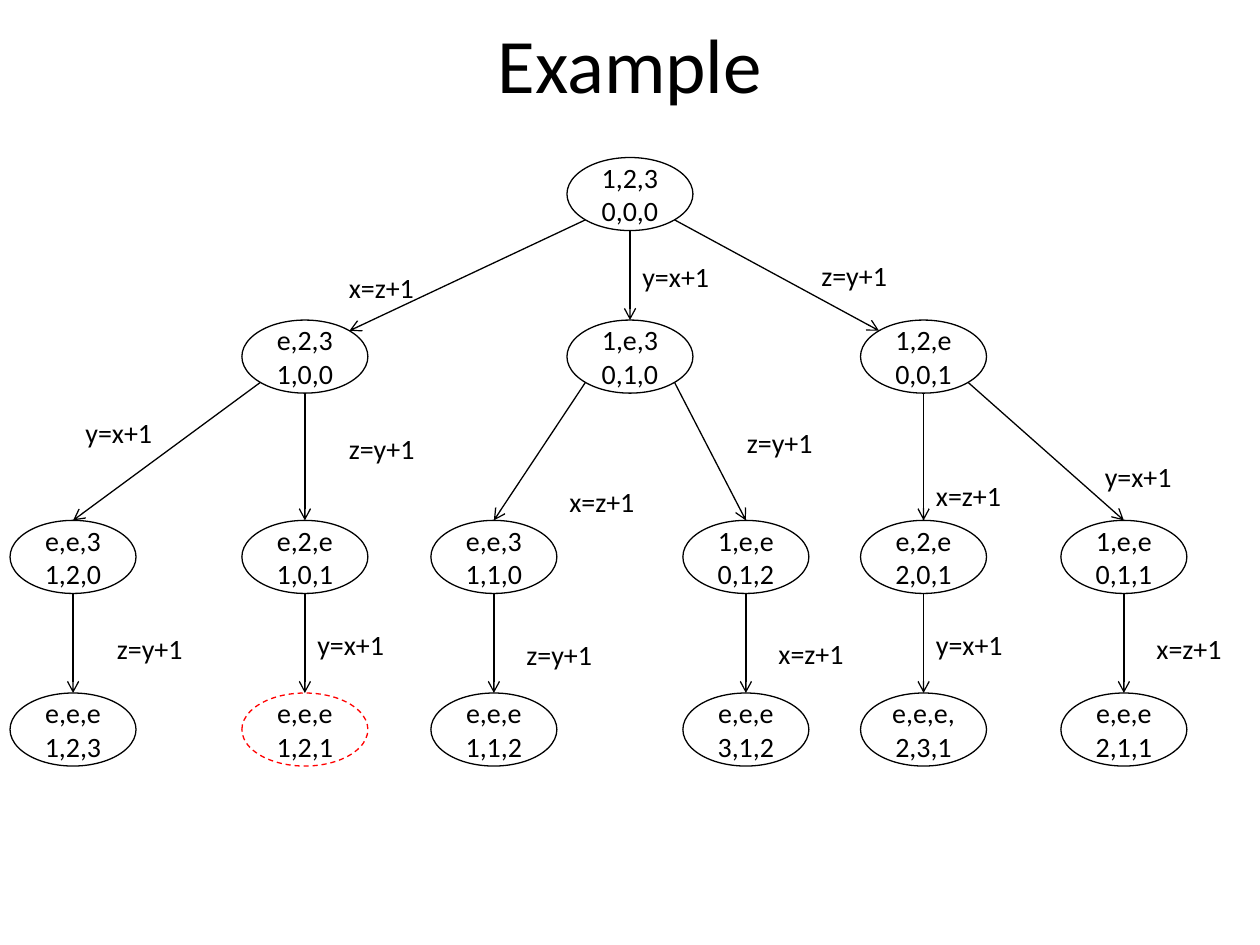
from dataclasses import dataclass
from math import sqrt

from lxml.etree import SubElement
from pptx import Presentation
from pptx.dml.color import RGBColor
from pptx.enum.dml import MSO_LINE
from pptx.enum.shapes import MSO_CONNECTOR, MSO_SHAPE
from pptx.enum.text import MSO_ANCHOR, MSO_AUTO_SIZE, PP_ALIGN
from pptx.oxml.ns import qn
from pptx.util import Inches, Pt

BLACK = RGBColor(0, 0, 0)
RED = RGBColor(255, 0, 0)
FONT = "Calibri"
NODE_WIDTH, NODE_HEIGHT = 1, 0.58
LEVEL_TOPS = [1.25, 2.54, 4.13, 5.5]

# Connection sites of an ellipse
TOP, TOP_LEFT, BOTTOM_LEFT, BOTTOM, BOTTOM_RIGHT, TOP_RIGHT = 0, 1, 3, 4, 5, 7
DIAGONAL = 1 / sqrt(2)
SITE_DIRECTIONS = {
    TOP: (0, -1),
    TOP_LEFT: (-DIAGONAL, -DIAGONAL),
    BOTTOM_LEFT: (-DIAGONAL, DIAGONAL),
    BOTTOM: (0, 1),
    BOTTOM_RIGHT: (DIAGONAL, DIAGONAL),
    TOP_RIGHT: (DIAGONAL, -DIAGONAL),
}


@dataclass
class Node:
    left: float
    lines: tuple
    edge_label: str = ""
    label_at: tuple = ()
    children: tuple = ()
    highlighted: bool = False


TREE = Node(4.5, ("1,2,3", "0,0,0"), children=(
    Node(1.92, ("e,2,3", "1,0,0"), "x=z+1", (2.67, 2.1), (
        Node(0.08, ("e,e,3", "1,2,0"), "y=x+1", (0.58, 3.25), (
            Node(0.08, ("e,e,e", "1,2,3"), "z=y+1", (0.83, 4.96)),)),
        Node(1.92, ("e,2,e", "1,0,1"), "z=y+1", (2.67, 3.38), (
            Node(1.92, ("e,e,e", "1,2,1"), "y=x+1", (2.42, 4.93), highlighted=True),)),
    )),
    Node(4.5, ("1,e,3", "0,1,0"), "y=x+1", (5, 2.01), (
        Node(3.42, ("e,e,3", "1,1,0"), "x=z+1", (4.42, 3.8), (
            Node(3.42, ("e,e,e", "1,1,2"), "z=y+1", (4.08, 5.01)),)),
        Node(5.42, ("1,e,e", "0,1,2"), "z=y+1", (5.83, 3.33), (
            Node(5.42, ("e,e,e", "3,1,2"), "x=z+1", (6.08, 5)),)),
    )),
    Node(6.83, ("1,2,e", "0,0,1"), "z=y+1", (6.42, 2), (
        Node(6.83, ("e,2,e", "2,0,1"), "x=z+1", (7.33, 3.75), (
            Node(6.83, ("e,e,e,", "2,3,1"), "y=x+1", (7.33, 4.93)),)),
        Node(8.42, ("1,e,e", "0,1,1"), "y=x+1", (8.67, 3.6), (
            Node(8.42, ("e,e,e", "2,1,1"), "x=z+1", (9.08, 4.96)),)),
    )),
))


def add_run(paragraph, text, size):
    run = paragraph.add_run()
    run.text = text
    run.font.name = FONT
    run.font.size = Pt(size)
    run.font.color.rgb = BLACK


def set_title(slide, text):
    title = slide.shapes.title
    title.left, title.top = Inches(0.5), Inches(0.08)
    title.width, title.height = Inches(9), Inches(0.83)
    title.text_frame.vertical_anchor = MSO_ANCHOR.MIDDLE
    paragraph = title.text_frame.paragraphs[0]
    paragraph.alignment = PP_ALIGN.CENTER
    add_run(paragraph, text, 44)


def add_node(slide, node, level):
    shape = slide.shapes.add_shape(
        MSO_SHAPE.OVAL, Inches(node.left), Inches(LEVEL_TOPS[level]),
        Inches(NODE_WIDTH), Inches(NODE_HEIGHT))
    shape.shadow.inherit = False
    shape.fill.background()
    shape.line.width = Pt(0.75)
    shape.line.color.rgb = RED if node.highlighted else BLACK
    if node.highlighted:
        shape.line.dash_style = MSO_LINE.DASH
    frame = shape.text_frame
    frame.word_wrap = False
    frame.vertical_anchor = MSO_ANCHOR.MIDDLE
    paragraph = frame.paragraphs[0]
    paragraph.alignment = PP_ALIGN.CENTER
    first, second = node.lines
    add_run(paragraph, first, 16)
    paragraph.add_line_break()
    add_run(paragraph, second, 16)
    return shape


def site_point(shape, site):
    across, down = SITE_DIRECTIONS[site]
    return (round(shape.left + shape.width * (1 + across) / 2),
            round(shape.top + shape.height * (1 + down) / 2))


def choose_sites(parent, child, level):
    """Pick the sides of the two ellipses that face each other."""
    if child.left == parent.left:
        return BOTTOM, TOP
    if child.left < parent.left:
        return BOTTOM_LEFT, TOP_RIGHT if level == 1 else TOP
    return BOTTOM_RIGHT, TOP_LEFT if level == 1 else TOP


def add_arrow(slide, parent_shape, child_shape, sites):
    start, end = sites
    connector = slide.shapes.add_connector(
        MSO_CONNECTOR.STRAIGHT,
        *site_point(parent_shape, start), *site_point(child_shape, end))
    connector.line.width = Pt(0.75)
    connector.line.color.rgb = BLACK
    SubElement(connector.line._get_or_add_ln(), qn("a:tailEnd"), type="arrow")
    SubElement(connector._element.spPr, qn("a:effectLst"))
    # begin_connect knows four sites only; an ellipse has eight
    joints = connector._element.nvCxnSpPr.cNvCxnSpPr
    for tag, shape, site in (("a:stCxn", parent_shape, start),
                             ("a:endCxn", child_shape, end)):
        SubElement(joints, qn(tag), id=str(shape.shape_id), idx=str(site))


def add_label(slide, text, position):
    left, top = position
    box = slide.shapes.add_textbox(
        Inches(left), Inches(top), Inches(0.92), Inches(0.37))
    frame = box.text_frame
    frame.word_wrap = True
    frame.auto_size = MSO_AUTO_SIZE.SHAPE_TO_FIT_TEXT
    add_run(frame.paragraphs[0], text, 16)


def add_tree(slide, node, level=0):
    shape = add_node(slide, node, level)
    for child in node.children:
        child_shape = add_tree(slide, child, level + 1)
        add_arrow(slide, shape, child_shape, choose_sites(node, child, level + 1))
        add_label(slide, child.edge_label, child.label_at)
    return shape


def main():
    presentation = Presentation()
    presentation.slide_width = Inches(10)
    presentation.slide_height = Inches(7.5)
    # Title Only layout
    slide = presentation.slides.add_slide(presentation.slide_layouts[5])
    set_title(slide, "Example")
    add_tree(slide, TREE)
    presentation.save("out.pptx")


if __name__ == "__main__":
    main()
